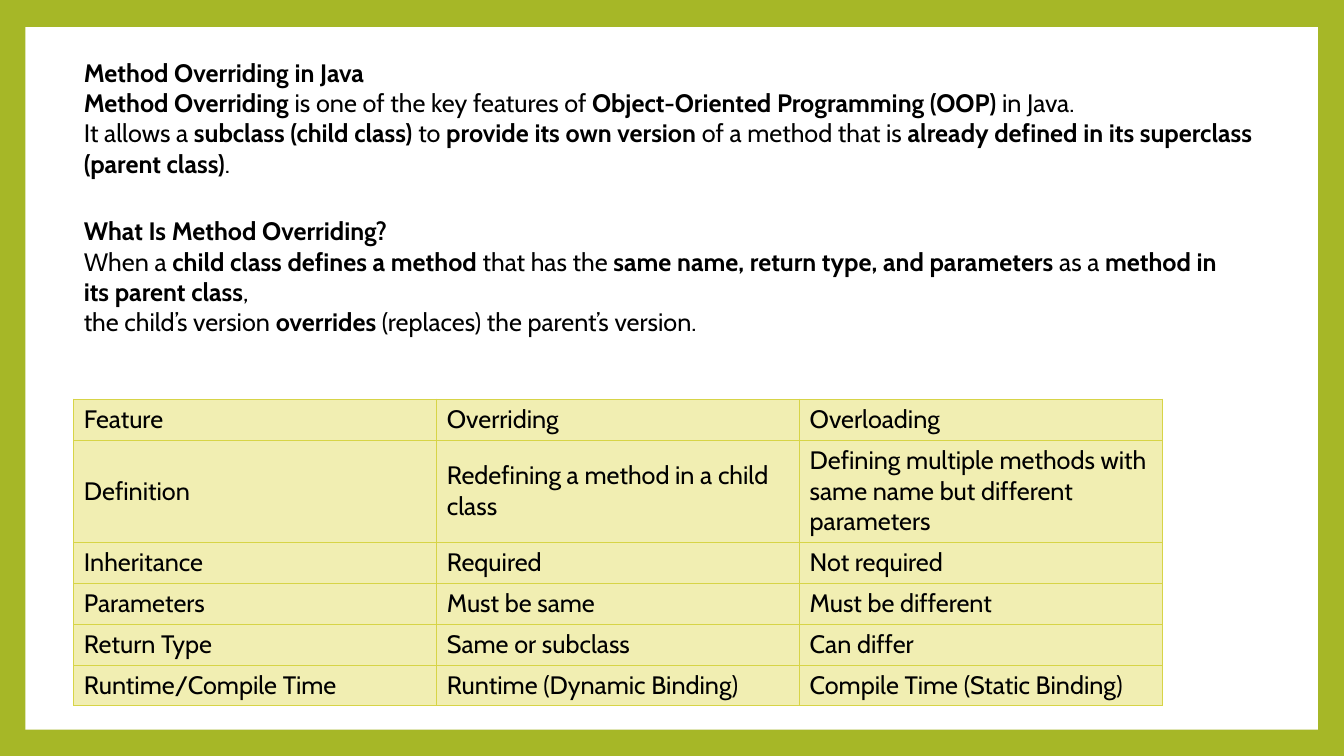
from lxml import etree
from pptx import Presentation
from pptx.dml.color import RGBColor
from pptx.enum.shapes import MSO_SHAPE
from pptx.enum.text import MSO_ANCHOR
from pptx.oxml.ns import qn
from pptx.util import Inches, Pt

RECT = MSO_SHAPE.RECTANGLE
MIDDLE = MSO_ANCHOR.MIDDLE

WIDE, HIGH = 13.33, 7.5
FONT, SIZE = "Cabin", 18
COLORS = {
    "frame": "A6B727",
    "panel": "FFFFFF",
    "cell": "F1EEB2",
    "line": "D7D447",
    "text": "000000",
}

# Positions are percentages of the slide's width and height
LEFT = 5.5
COLUMN = 27
ROW, TALL = 5.33, 13.33

# Double stars switch bold on and off
INTRO = [
    "**Method Overriding in Java**",
    "**Method Overriding** is one of the key features of "
    "**Object-Oriented Programming (OOP)** in Java.\n"
    "It allows a **subclass (child class)** to **provide its own version** "
    "of a method that is **already defined in its superclass (parent class)**.",
]
MEANING = [
    "**What Is Method Overriding?**",
    "When a **child class defines a method** that has the "
    "**same name, return type, and parameters** as a "
    "**method in its parent class**,\n"
    "the child’s version **overrides** (replaces) the parent’s version.",
]
FEATURES = [
    ("Feature", "Overriding", "Overloading"),
    ("Definition", "Redefining a method in a child class",
     "Defining multiple methods with same name but different parameters"),
    ("Inheritance", "Required", "Not required"),
    ("Parameters", "Must be same", "Must be different"),
    ("Return Type", "Same or subclass", "Can differ"),
    ("Runtime/Compile Time", "Runtime (Dynamic Binding)",
     "Compile Time (Static Binding)"),
]


def across(share):
    return Inches(WIDE * share / 100)


def down(share):
    return Inches(HIGH * share / 100)


def place(left, top, width, height):
    return across(left), down(top), across(width), down(height)


def color(name):
    return RGBColor.from_string(COLORS[name])


def paint(fill, name):
    fill.solid()
    fill.fore_color.rgb = color(name)


def style(run, bold=False):
    run.font.name = FONT
    run.font.size = Pt(SIZE)
    run.font.bold = bold
    run.font.color.rgb = color("text")


def write(para, marked):
    for index, part in enumerate(marked.split("**")):
        for number, line in enumerate(part.split("\n")):
            if number:
                para.add_line_break()
            if line:
                run = para.add_run()
                run.text = line
                style(run, bold=index % 2 == 1)


def add_panel(slide):
    panel = slide.shapes.add_shape(RECT, *place(1.88, 3.6, 96.17, 92.93))
    panel.shadow.inherit = False
    paint(panel.fill, "panel")
    panel.line.fill.background()


def add_text(slide, top, width, lines):
    frame = slide.shapes.add_textbox(*place(LEFT, top, width, 17.47)).text_frame
    frame.word_wrap = True
    for index, line in enumerate(lines):
        para = frame.add_paragraph() if index else frame.paragraphs[0]
        write(para, line)


def add_border(cell):
    props = cell._tc.get_or_add_tcPr()
    for spot, side in enumerate(("lnL", "lnR", "lnT", "lnB")):
        line = etree.Element(qn("a:" + side), w=str(Pt(0.79)))
        fill = etree.SubElement(line, qn("a:solidFill"))
        etree.SubElement(fill, qn("a:srgbClr"), val=COLORS["line"])
        props.insert(spot, line)


def add_grid(slide, top, rows):
    heights = [TALL if index == 1 else ROW for index in range(len(rows))]
    count = len(rows[0])
    area = place(LEFT, top, COLUMN * count, sum(heights))
    table = slide.shapes.add_table(len(rows), count, *area).table
    table.first_row = table.horz_banding = False
    for column in table.columns:
        column.width = across(COLUMN)
    for r, (row, height) in enumerate(zip(rows, heights)):
        table.rows[r].height = down(height)
        for c, words in enumerate(row):
            cell = table.cell(r, c)
            cell.text_frame.text = words
            cell.vertical_anchor = MIDDLE
            style(cell.text_frame.paragraphs[0].runs[0])
            paint(cell.fill, "cell")
            add_border(cell)


def main():
    deck = Presentation()
    deck.slide_width, deck.slide_height = Inches(WIDE), Inches(HIGH)
    slide = deck.slides.add_slide(deck.slide_layouts[6])

    # Green frame around a white panel
    paint(slide.background.fill, "frame")
    add_panel(slide)

    # Comparison table and explanations
    add_grid(slide, 52.8, FEATURES)
    add_text(slide, 6.93, 92.57, INTRO)
    add_text(slide, 27.87, 86.95, MEANING)

    deck.save("out.pptx")


if __name__ == "__main__":
    main()
